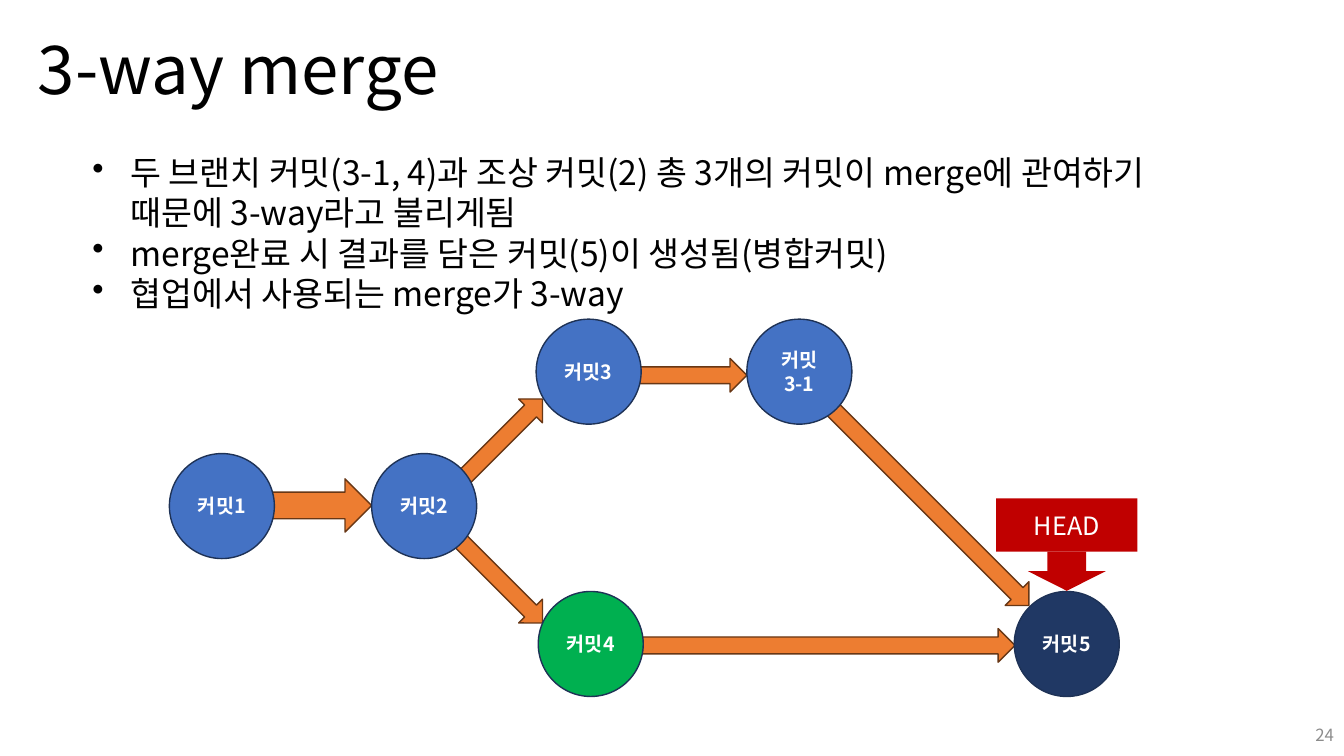
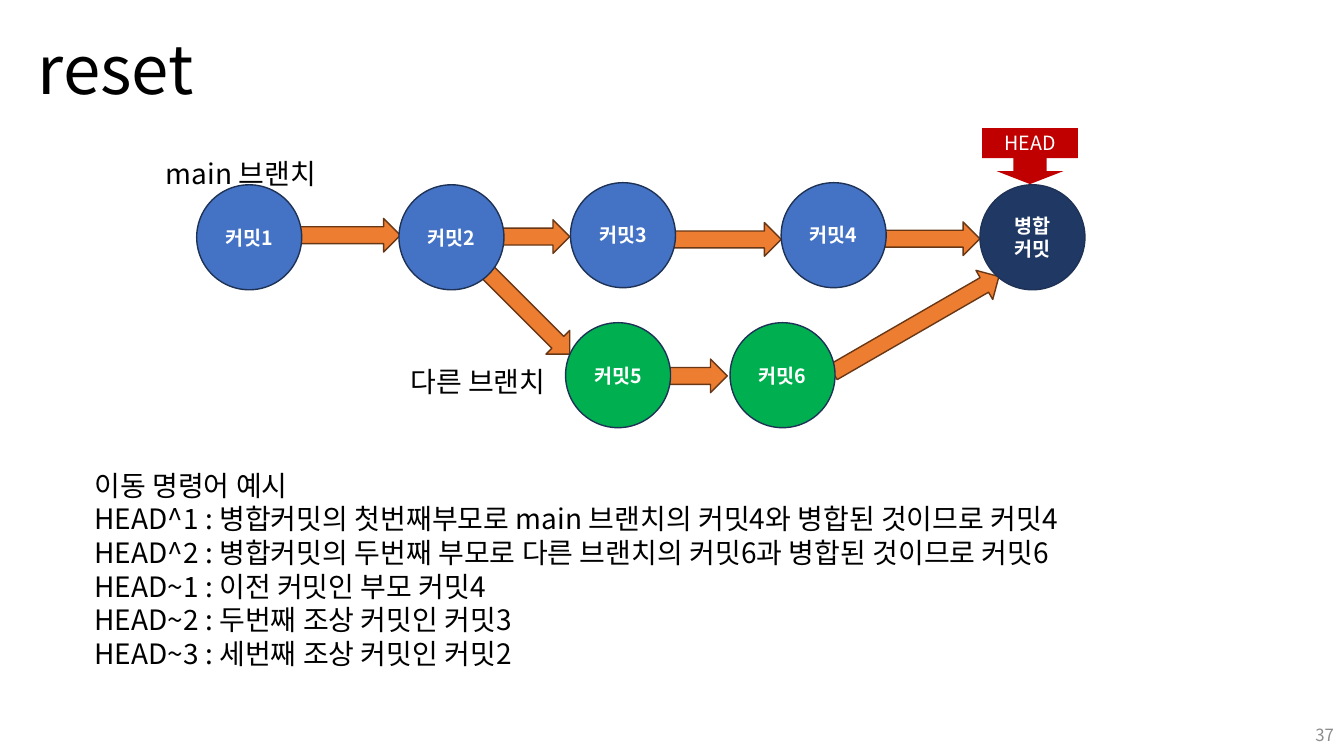
from math import atan2, degrees, hypot

from lxml.etree import SubElement
from pptx import Presentation
from pptx.dml.color import RGBColor
from pptx.enum.shapes import MSO_SHAPE as Preset
from pptx.enum.text import MSO_ANCHOR as Anchor, MSO_AUTO_SIZE as AutoSize, PP_ALIGN as Align
from pptx.oxml.ns import qn
from pptx.util import Pt

COLORS = {
    "text": "000000",
    "light": "FFFFFF",
    "page": "8C8C8C",
    "main": "4472C4",
    "branch": "00B050",
    "merge": "203864",
    "outline": "1E3256",
    "arrow": "ED7D31",
    "arrow_outline": "683715",
    "head": "C00000",
}
FONT = "Noto Sans CJK KR"
SLIDE_WIDTH, SLIDE_HEIGHT = 960, 540
COMMIT_SIZE = 75


def color(name):
    """Look up a named colour."""
    return RGBColor.from_string(COLORS[name])


def write_text(shape, *lines, size=14, ink="text", bold=False, align=Align.LEFT,
               anchor=Anchor.TOP, wrap=True, bullet=None, spacing=None):
    """Fill a shape with one formatted paragraph per line."""
    frame = shape.text_frame
    frame.word_wrap = wrap
    frame.vertical_anchor = anchor
    frame.auto_size = AutoSize.NONE if wrap else AutoSize.SHAPE_TO_FIT_TEXT
    for index, line in enumerate(lines):
        paragraph = frame.add_paragraph() if index else frame.paragraphs[0]
        paragraph.text = line
        paragraph.alignment = align
        if spacing:
            paragraph.line_spacing = spacing
        if bullet:
            properties = paragraph._p.get_or_add_pPr()
            properties.set("marL", str(Pt(27)))
            properties.set("indent", str(-Pt(27)))
            SubElement(properties, qn("a:buChar")).set("char", bullet)
        for run in paragraph.runs:
            run.font.size = Pt(size)
            run.font.bold = bold
            run.font.color.rgb = color(ink)
            run.font.name = FONT
            SubElement(run._r.get_or_add_rPr(), qn("a:ea")).set("typeface", FONT)


def add_text(slide, box, *lines, **text_format):
    """Place a text box given as left, top, width, height."""
    write_text(slide.shapes.add_textbox(*map(Pt, box)), *lines, **text_format)


def add_preset(slide, preset, box, fill, outline=None, rotation=0):
    """Place a flat preset shape."""
    shape = slide.shapes.add_shape(preset, *map(Pt, box))
    shape.shadow.inherit = False
    shape.rotation = rotation
    shape.fill.solid()
    shape.fill.fore_color.rgb = color(fill)
    if outline:
        shape.line.color.rgb = color(outline)
        shape.line.width = Pt(1)
    else:
        shape.line.fill.background()
    return shape


def add_arrow(slide, start, end, thickness=24):
    """Place a block arrow that runs from start to end."""
    across, down = end[0] - start[0], end[1] - start[1]
    length = hypot(across, down)
    left = (start[0] + end[0] - thickness) / 2
    top = (start[1] + end[1] - length) / 2
    add_preset(slide, Preset.DOWN_ARROW, (left, top, thickness, length), "arrow",
               "arrow_outline", round(degrees(atan2(-across, down))) % 360)


def add_head(slide, box, arrow_size, size):
    """Place the HEAD label with its pointer centred below it."""
    left, top, width, height = box
    arrow_width, arrow_height = arrow_size
    pointer = (left + (width - arrow_width) / 2, top + height, arrow_width, arrow_height)
    add_preset(slide, Preset.UP_ARROW, pointer, "head", rotation=180)
    label = add_preset(slide, Preset.RECTANGLE, box, "head")
    write_text(label, "HEAD", size=size, ink="light", align=Align.CENTER, anchor=Anchor.MIDDLE)


def add_graph(slide, origin, arrows, commits, head_box, head_arrow, head_size):
    """Place a commit graph whose parts are relative to its origin."""
    left, top = origin
    for start_x, start_y, end_x, end_y, *thickness in arrows:
        add_arrow(slide, (left + start_x, top + start_y), (left + end_x, top + end_y), *thickness)
    for name, x, y, fill in commits:
        commit = add_preset(slide, Preset.OVAL, (left + x, top + y, COMMIT_SIZE, COMMIT_SIZE),
                            fill, "outline")
        write_text(commit, name, ink="light", bold=True, align=Align.CENTER, anchor=Anchor.MIDDLE)
    x, y, width, height = head_box
    add_head(slide, (left + x, top + y, width, height), head_arrow, head_size)


def add_page(presentation, title, number):
    """Add a blank slide with its title and page number."""
    slide = presentation.slides.add_slide(presentation.slide_layouts[6])
    add_text(slide, (20, 0, 828, 104.5), title, size=48, anchor=Anchor.MIDDLE, spacing=0.9)
    add_text(slide, (SLIDE_WIDTH - 216, 510.5, 216, 29), str(number), size=12, ink="page",
             align=Align.RIGHT, anchor=Anchor.MIDDLE)
    return slide


def add_merge_slide(presentation):
    """Build the slide on the 3-way merge."""
    slide = add_page(presentation, "3-way merge", 24)
    add_text(slide, (59, 105, 844, 124),
             "두 브랜치 커밋(3-1, 4)과 조상 커밋(2) 총 3개의 커밋이 merge에 관여하기 \n"
             "때문에 3-way라고 불리게됨",
             "merge완료 시 결과를 담은 커밋(5)이 생성됨(병합커밋)",
             "협업에서 사용되는 merge가 3-way",
             size=24, wrap=False, bullet="•")
    arrows = [
        (333, 233, 604, 233),
        (466.5, 57, 614, 204.5),
        (334, 40, 412.5, 40),
        (205, 155.5, 266.5, 217),
        (205, 118.5, 266.5, 57),
        (6.5, 133, 144.5, 133, 38),
    ]
    commits = [
        ("커밋1", 0, 96, "main"),
        ("커밋2", 144.5, 96, "main"),
        ("커밋3", 262, 0, "main"),
        ("커밋4", 263.5, 194.5, "branch"),
        ("커밋3-1", 412.5, 0, "main"),
        ("커밋5", 603.5, 194.5, "merge"),
    ]
    add_graph(slide, (121, 228), arrows, commits, (590.5, 128, 101, 38), (55.5, 28), 18)


def add_reset_slide(presentation):
    """Build the slide on reset."""
    slide = add_page(presentation, "reset", 37)
    left, top = origin = (111, 91)
    arrows = [
        (87.5, 77, 175, 77),
        (484, 175, 602.5, 106.5),
        (362.5, 177.5, 408.5, 177.5),
        (511.5, 79.5, 589, 79.5),
        (368.5, 80, 447, 80),
        (234.5, 100.5, 296, 162),
        (208.5, 78, 296, 78),
    ]
    commits = [
        ("커밋1", 29.5, 41, "main"),
        ("커밋2", 174, 41, "main"),
        ("커밋3", 296.5, 39.5, "main"),
        ("커밋5", 293, 139.5, "branch"),
        ("커밋4", 447, 39.5, "main"),
        ("병합\n커밋", 589, 41, "merge"),
        ("커밋6", 410.5, 139.5, "branch"),
    ]
    add_graph(slide, origin, arrows, commits, (590.5, 0.5, 68.5, 21.5), (47.5, 18.5), 14)
    add_text(slide, (60.5, 331, 761, 152.5),
             "이동 명령어 예시\nHEAD^1 : 병합커밋의 첫번째부모로 main 브랜치의 커밋4와 병합된 것이므로 커밋4",
             "HEAD^2 : 병합커밋의 두번째 부모로 다른 브랜치의 커밋6과 병합된 것이므로 커밋6",
             "HEAD~1 : 이전 커밋인 부모 커밋4",
             "HEAD~2 : 두번째 조상 커밋인 커밋3",
             "HEAD~3 : 세번째 조상 커밋인 커밋2",
             size=20, wrap=False)
    for name, x, y, width in (("main 브랜치", 0.5, 17, 132.5), ("다른 브랜치", 175, 166, 117.5)):
        add_text(slide, (left + x, top + y, width, 31.5), name, size=20, wrap=False)


def main():
    """Build and save the presentation."""
    presentation = Presentation()
    presentation.slide_width = Pt(SLIDE_WIDTH)
    presentation.slide_height = Pt(SLIDE_HEIGHT)
    add_merge_slide(presentation)
    add_reset_slide(presentation)
    presentation.save("out.pptx")


if __name__ == "__main__":
    main()
